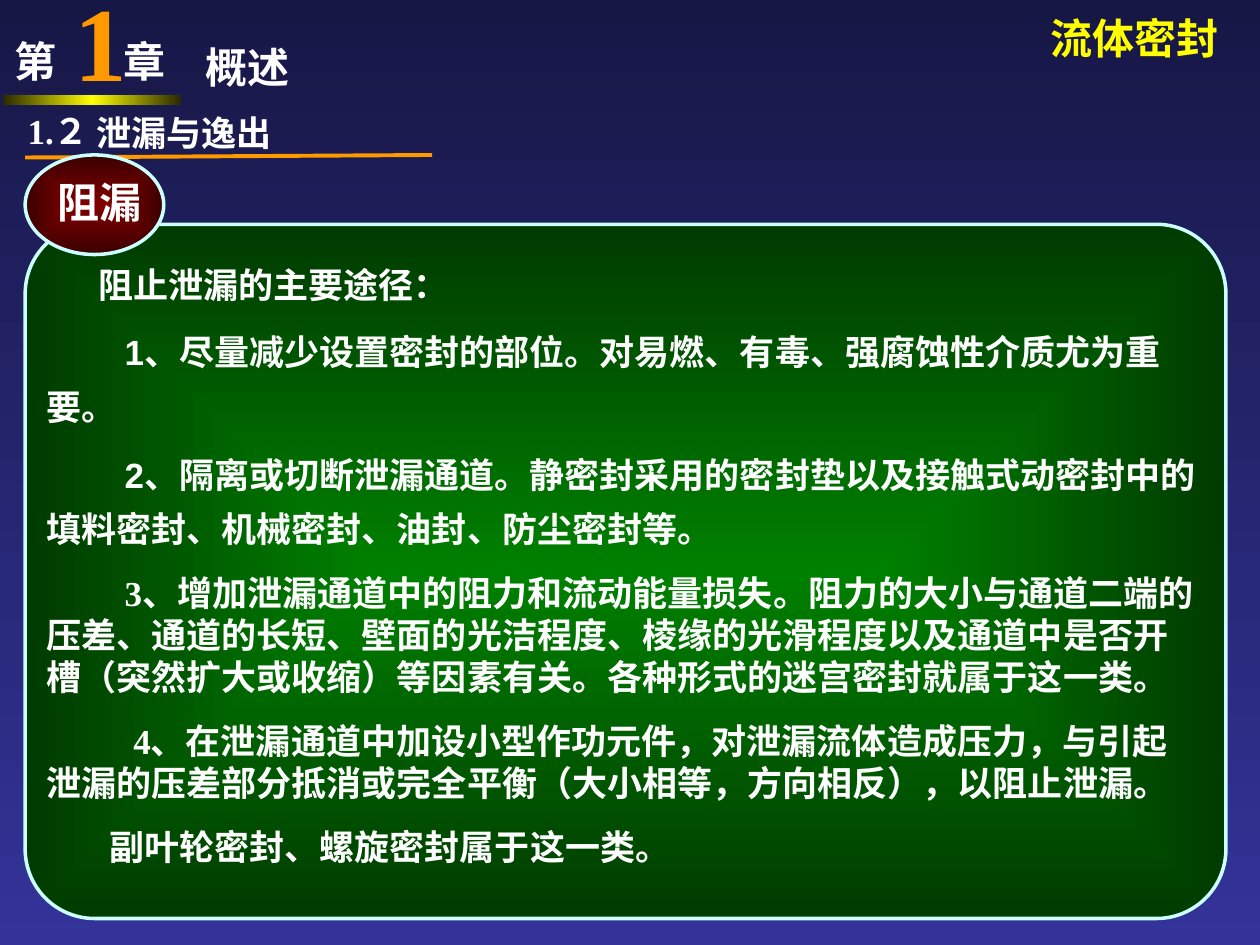
import pptx
import pptx.util
import pptx.dml.color
import pptx.enum.shapes
import pptx.enum.text
import pptx.oxml.ns
import lxml.etree
from pptx.util import Inches

qn = pptx.oxml.ns.qn
WHITE, ORANGE, YELLOW, PALE_BLUE = "FFFFFF", "FF9900", "FFFF00", "CCFFFF"
TIMES, ARIAL, NOTO = "Times New Roman", "Arial", "Noto Sans CJK SC"


def color(value):
    return pptx.dml.color.RGBColor.from_string(value)


def fill_gradient(fill, element, colors, angle=None):
    """Spread colors evenly: linear at angle degrees, or outward from the centre."""
    fill.gradient()
    gradient = element.find(".//" + qn("a:gradFill"))
    gradient.clear()
    stops = lxml.etree.SubElement(gradient, qn("a:gsLst"))
    for index, value in enumerate(colors):
        position = str(100000 * index // (len(colors) - 1))
        stop = lxml.etree.SubElement(stops, qn("a:gs"), pos=position)
        lxml.etree.SubElement(stop, qn("a:srgbClr"), val=value)
    if angle is None:
        shade = lxml.etree.SubElement(gradient, qn("a:path"), path="rect")
        sides = dict.fromkeys("ltrb", "50000")
        lxml.etree.SubElement(shade, qn("a:fillToRect"), sides)
    else:
        lxml.etree.SubElement(gradient, qn("a:lin"), ang=str(angle * 60000), scaled="1")


presentation = pptx.Presentation()
presentation.slide_width, presentation.slide_height = Inches(10), Inches(7.5)
slide = presentation.slides.add_slide(presentation.slide_layouts[6])
fill_gradient(slide.background.fill, slide.element, ["171746", "333399"], 90)

# Underline below the section title
underline = slide.shapes.add_connector(
    pptx.enum.shapes.MSO_CONNECTOR.STRAIGHT,
    Inches(0.2), Inches(1.25), Inches(3.43), Inches(1.23))
underline.line.color.rgb = color(ORANGE)
underline.line.width = pptx.util.Pt(2.25)
lxml.etree.SubElement(underline.element.spPr, qn("a:effectLst"))

# Chapter bar, content panel and topic badge
kinds = pptx.enum.shapes.MSO_SHAPE
shapes = [
    (kinds.RECTANGLE, (0.02, 0.75, 1.42, 0.08), ["282800", YELLOW, "282800"], 180, None),
    (kinds.ROUNDED_RECTANGLE, (0.2, 1.78, 9.53, 5.51), ["008000", "003B00"], None, PALE_BLUE),
    (kinds.OVAL, (0.2, 1.23, 1.1, 0.79), ["800000", "3B0000"], None, PALE_BLUE),
]
for kind, place, colors, angle, outline in shapes:
    shape = slide.shapes.add_shape(kind, *map(Inches, place))
    shape.shadow.inherit = False
    fill_gradient(shape.fill, shape.element, colors, angle)
    if kind == kinds.ROUNDED_RECTANGLE:
        shape.adjustments[0] = 0.1
    if outline:
        shape.line.color.rgb = color(outline)
        shape.line.width = pptx.util.Pt(2)
    else:
        shape.line.fill.background()

# Each paragraph: text, font name, first-line indent, paragraph format
loose = {"line_spacing": 1.3, "space_before": pptx.util.Pt(7.5)}
tight = {"space_before": pptx.util.Pt(12.5)}
body = [
    ("阻止泄漏的主要途径：", ARIAL, 0.41, {"line_spacing": 1.3}),
    ("1、尽量减少设置密封的部位。对易燃、有毒、强腐蚀性介质尤为重要。", ARIAL, 0.62, loose),
    ("2、隔离或切断泄漏通道。静密封采用的密封垫以及接触式动密封中的填料密封、"
     "机械密封、油封、防尘密封等。", ARIAL, 0.62, loose),
    ("3、增加泄漏通道中的阻力和流动能量损失。阻力的大小与通道二端的压差、"
     "通道的长短、壁面的光洁程度、棱缘的光滑程度以及通道中是否开槽"
     "（突然扩大或收缩）等因素有关。各种形式的迷宫密封就属于这一类。", TIMES, 0.62, tight),
    ("4、在泄漏通道中加设小型作功元件，对泄漏流体造成压力，与引起泄漏的压差部分抵消"
     "或完全平衡（大小相等，方向相反），以阻止泄漏。", TIMES, 0.69, tight),
    ("副叶轮密封、螺旋密封属于这一类。", TIMES, 0.5, tight),
]
middle = {"vertical_anchor": pptx.enum.text.MSO_ANCHOR.MIDDLE}
no_wrap = {"word_wrap": False}
flush = {"margin_top": 0, "margin_bottom": 0}
centered = {"alignment": pptx.enum.text.PP_ALIGN.CENTER}

# Each text box: place, size, color, frame format, paragraphs
text_boxes = [
    ((0.67, 0.84, 2.84, 0.43), 20, WHITE, middle, [("泄漏与逸出", TIMES, 0, {})]),
    ((0.02, 0.23, 1.75, 0.5), 24, WHITE, {}, [("第\t章", TIMES, 0, {})]),
    ((0.49, -0.19, 0.92, 1), 60, ORANGE, flush, [("1", TIMES, 0, {})]),
    ((8.24, 0.05, 1.57, 0.47), 24, YELLOW, no_wrap, [("流体密封", NOTO, 0, {})]),
    ((0.12, 0.82, 1.08, 0.44), 20, WHITE, {}, [("1.２", TIMES, 0, {})]),
    ((1.53, 0.28, 0.98, 0.5), 24, WHITE, {}, [("概述", TIMES, 0, {})]),
    ((0.29, 1.35, 1, 0.5), 24, WHITE, no_wrap, [("阻漏", ARIAL, 0, centered)]),
    ((0.27, 1.94, 9.34, 5), 20, WHITE, {}, body),
]
for place, size, text_color, frame_format, paragraphs in text_boxes:
    frame = slide.shapes.add_textbox(*map(Inches, place)).text_frame
    for name, value in {"word_wrap": True, **frame_format}.items():
        setattr(frame, name, value)
    for index, (text, font_name, indent, paragraph_format) in enumerate(paragraphs):
        paragraph = frame.add_paragraph() if index else frame.paragraphs[0]
        for name, value in paragraph_format.items():
            setattr(paragraph, name, value)
        properties = paragraph._p.get_or_add_pPr()
        properties.set("hangingPunct", "0")
        if indent:
            properties.set("indent", str(Inches(indent)))
        if "\t" in text:
            tabs = lxml.etree.SubElement(properties, qn("a:tabLst"))
            lxml.etree.SubElement(tabs, qn("a:tab"), pos=str(Inches(0.86)), algn="l")
        run = paragraph.add_run()
        run.text = text
        font_format = {"name": font_name, "size": pptx.util.Pt(size), "bold": True}
        for name, value in font_format.items():
            setattr(run.font, name, value)
        run.font.color.rgb = color(text_color)

presentation.save("out.pptx")
